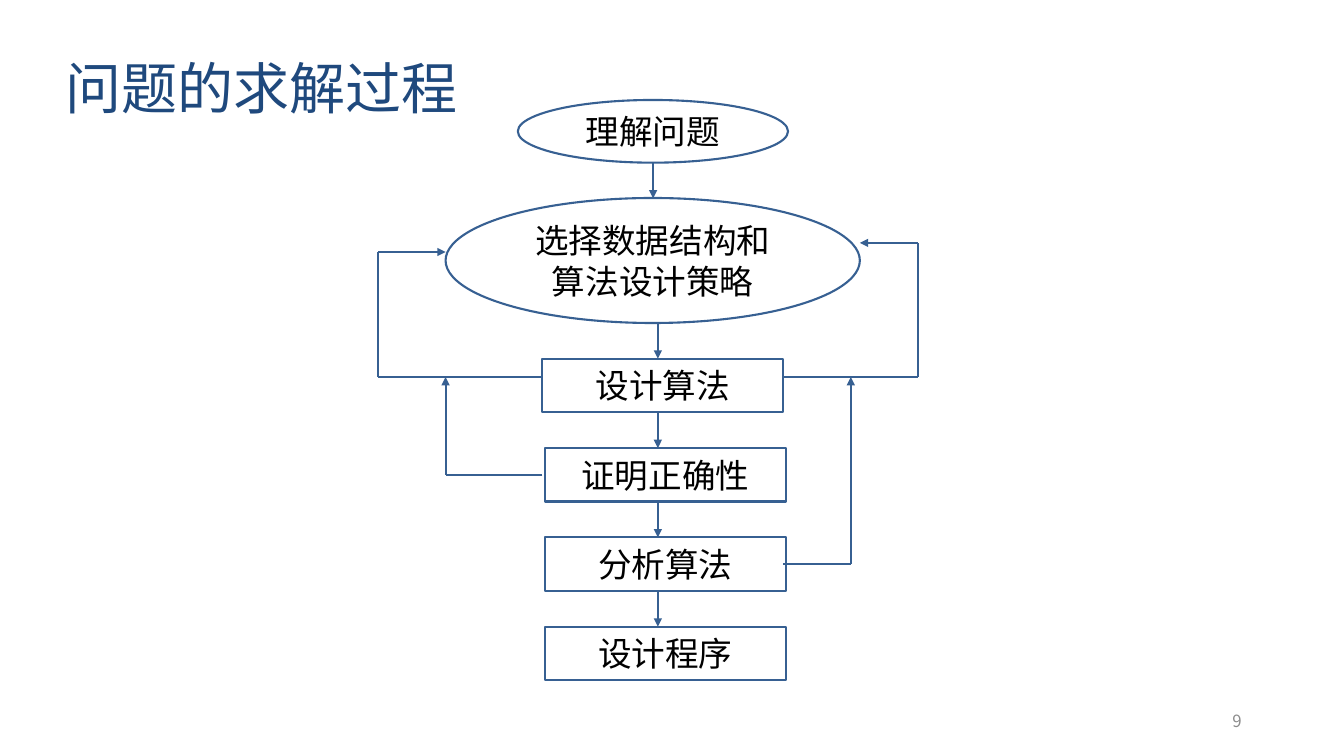
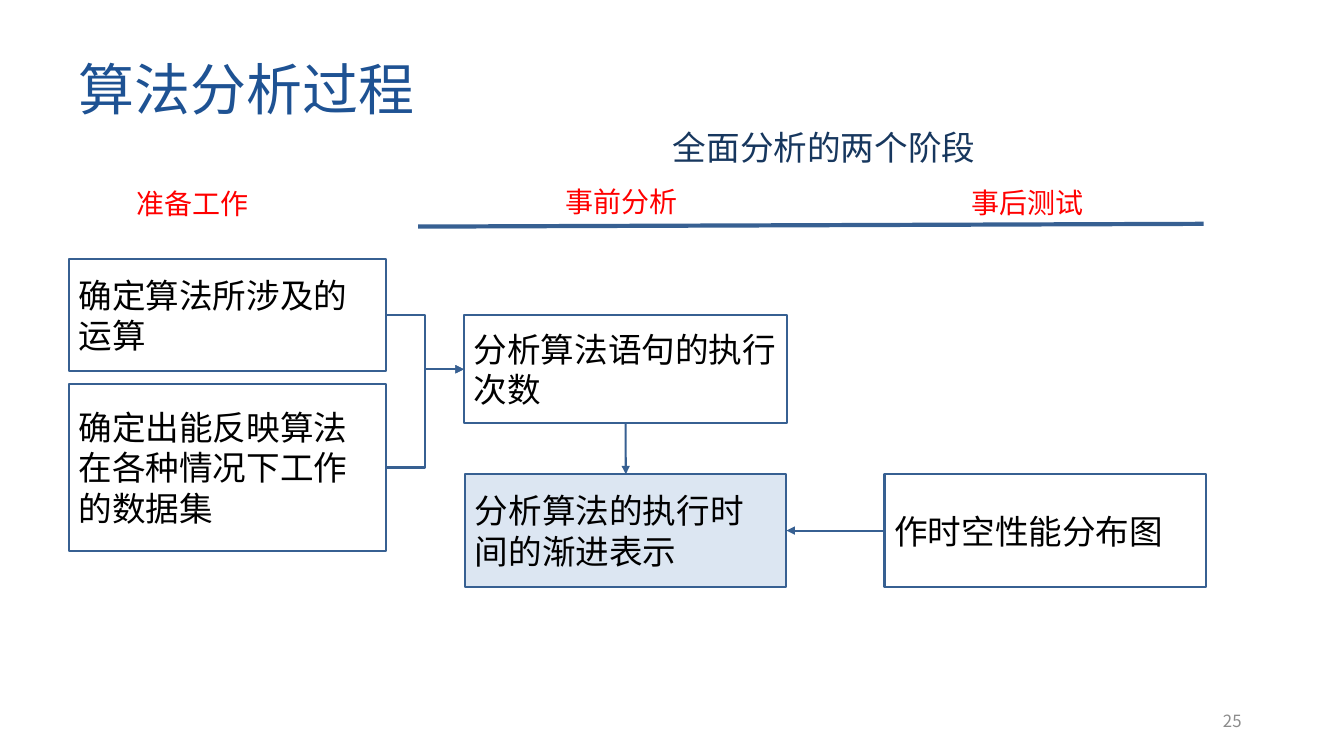
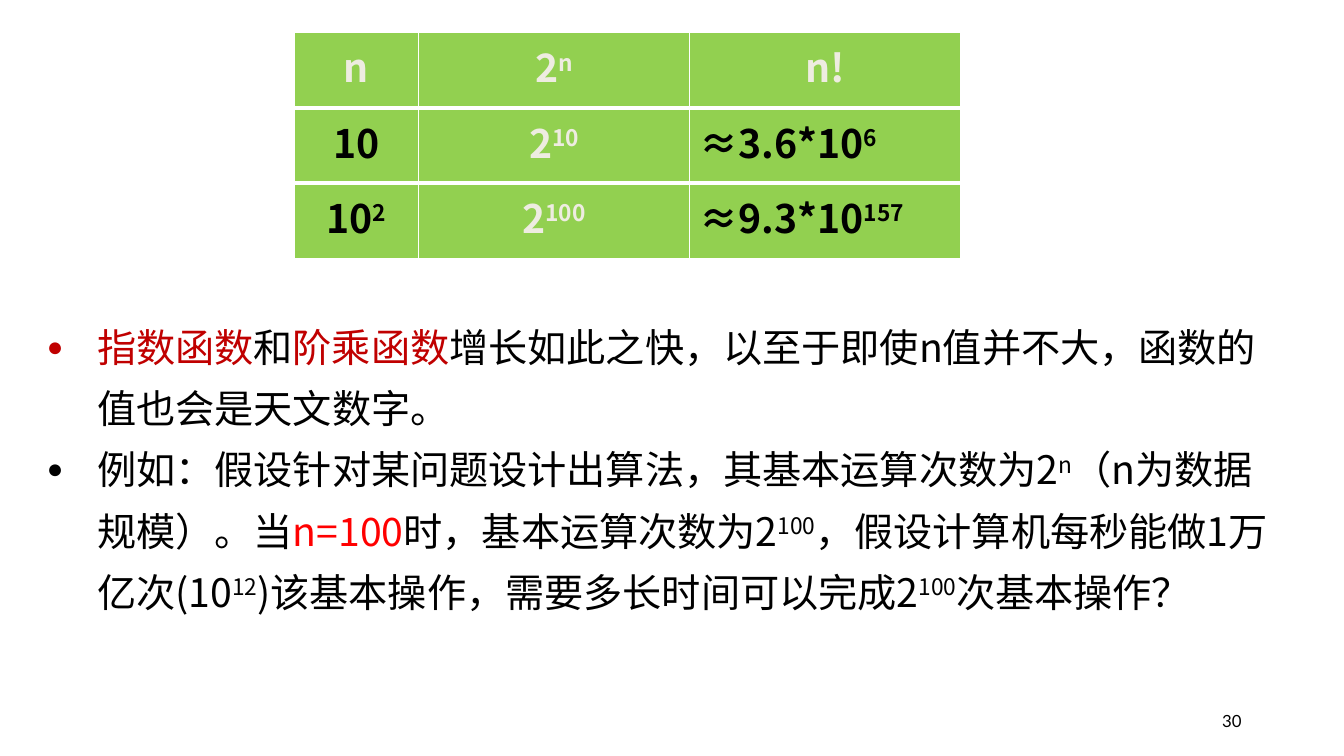
"""Build three slides on solving problems and analysing algorithms."""
from itertools import pairwise

from lxml.etree import SubElement
from pptx import Presentation
from pptx.dml.color import RGBColor
from pptx.enum.shapes import MSO_CONNECTOR, MSO_SHAPE
from pptx.enum.text import MSO_ANCHOR, PP_ALIGN
from pptx.oxml.ns import qn
from pptx.util import Cm, Pt

BLACK = RGBColor(0x00, 0x00, 0x00)
WHITE = RGBColor(0xFF, 0xFF, 0xFF)
GRAY = RGBColor(0x8C, 0x8C, 0x8C)
NAVY = RGBColor(0x1F, 0x49, 0x7D)
BLUE = RGBColor(0x1E, 0x52, 0x93)
DEEP = RGBColor(0x17, 0x37, 0x5E)
EDGE = RGBColor(0x37, 0x60, 0x92)
PALE = RGBColor(0xDC, 0xE6, 0xF2)
RED = RGBColor(0xFF, 0x00, 0x00)
DARK = RGBColor(0xC0, 0x00, 0x00)
GREEN = RGBColor(0x92, 0xD0, 0x50)
CREAM = RGBColor(0xEE, 0xEC, 0xE1)
SANS = "Noto Sans CJK SC"
LEFT, MID, RIGHT = PP_ALIGN.LEFT, PP_ALIGN.CENTER, PP_ALIGN.RIGHT
OVAL, RECT = MSO_SHAPE.OVAL, MSO_SHAPE.RECTANGLE
LINE, BENT = MSO_CONNECTOR.STRAIGHT, MSO_CONNECTOR.ELBOW


def write(frame, rows, size, align=LEFT, face=SANS, bold=False):
    """Fill a frame with paragraphs of (text, colour, raised) runs."""
    for num, row in enumerate(rows):
        para = frame.add_paragraph() if num else frame.paragraphs[0]
        para.alignment = align
        for text, color, *up in row:
            run = para.add_run()
            run.text = text
            font = run.font
            font.name, font.size, font.bold = face, Pt(size), bold
            font.color.rgb = color
            prop = run._r.get_or_add_rPr()
            SubElement(prop, qn("a:ea")).set("typeface", SANS)
            if up:
                prop.set("baseline", "30000")


def link(slide, start, end, head=True, kind=LINE, width=1.5):
    """Draw a line between two points, with an arrowhead if asked."""
    line = slide.shapes.add_connector(kind, *map(Cm, start + end))
    line.line.color.rgb = EDGE
    line.line.width = Pt(width)
    if head:
        SubElement(line.line._get_or_add_ln(), qn("a:tailEnd")).set("type", "triangle")
    SubElement(line._element.spPr, qn("a:effectLst"))
    return line


deck = Presentation()
deck.slide_width, deck.slide_height = Cm(33.87), Cm(19.05)

pages = [
    ("9", GRAY, SANS, "问题的求解过程", NAVY, 1.4, 0.39),
    ("25", GRAY, SANS, "算法分析过程", BLUE, 1.73, 0.42),
    ("30", BLACK, "Lato", None, None, None, None),
]
for page, tint, face, title, color, x, y in pages:
    slide = deck.slides.add_slide(deck.slide_layouts[6])
    band = slide.shapes.add_shape(RECT, 0, Cm(14.94), Cm(33.87), Cm(4.11))
    band.shadow.inherit = False
    band.line.fill.background()
    band.fill.solid()
    band.fill.fore_color.rgb = WHITE
    shade = band._element.spPr.find(qn("a:solidFill"))[0]
    SubElement(shade, qn("a:alpha")).set("val", "29000")
    frame = slide.shapes.add_textbox(Cm(23.92), Cm(17.65), Cm(7.62), Cm(1.02)).text_frame
    frame.word_wrap, frame.vertical_anchor = True, MSO_ANCHOR.MIDDLE
    write(frame, [[(page, tint)]], 12, RIGHT, face)
    if title:
        frame = slide.shapes.add_textbox(Cm(x), Cm(y), Cm(22.86), Cm(3.81)).text_frame
        frame.word_wrap, frame.vertical_anchor = True, MSO_ANCHOR.MIDDLE
        write(frame, [[(title, color)]], 40, face="Arial")
        frame.paragraphs[0].line_spacing = 0.9
flow, study, growth = deck.slides

top, step, tall = 9.04, 2.25, 1.35
boxes = [
    (flow, OVAL, 13.05, 2.52, 6.81, 1.58, WHITE, ["理解问题"]),
    (flow, OVAL, 11.23, 4.99, 10.44, 3.15, WHITE, ["选择数据结构和", "算法设计策略"]),
    (study, RECT, 1.73, 6.53, 8, 2.81, WHITE, ["确定算法所涉及的运算"]),
    (study, RECT, 1.73, 9.68, 8, 4.2, WHITE, ["确定出能反映算法在各种情况下工作的数据集"]),
    (study, RECT, 11.69, 7.94, 8.15, 2.73, WHITE, ["分析算法语句的执行次数"]),
    (study, RECT, 11.72, 11.95, 8.1, 2.84, PALE, ["分析算法的执行时间的渐进表示"]),
    (study, RECT, 22.29, 11.95, 8.1, 2.84, WHITE, ["作时空性能分布图"]),
]
for num, name in enumerate(["设计算法", "证明正确性", "分析算法", "设计程序"]):
    left = 13.73 if num else 13.67
    boxes.append((flow, RECT, left, top + num * step, 6.07, tall, WHITE, [name]))

cards = []
for slide, kind, x, y, w, h, fill, lines in boxes:
    shape = slide.shapes.add_shape(kind, Cm(x), Cm(y), Cm(w), Cm(h))
    shape.shadow.inherit = False
    shape.fill.solid()
    shape.fill.fore_color.rgb = fill
    shape.line.color.rgb = EDGE
    shape.line.width = Pt(1.5)
    shape.text_frame.word_wrap = slide is study
    align = LEFT if slide is study else MID
    write(shape.text_frame, [[(text, BLACK)] for text in lines], 24, align)
    if slide is study:
        cards.append(shape)

routes = [
    [(16.46, 4.09), (16.46, 5)],
    [(16.58, 8.15), (16.58, top)],
    [(13.67, 9.5), (9.53, 9.5), (9.53, 6.35), (11.23, 6.35)],
    [(19.74, 9.5), (23.14, 9.5), (23.14, 6.12), (21.67, 6.12)],
    [(13.67, 11.96), (11.23, 11.96), (11.23, 9.5)],
    [(19.74, 14.21), (21.44, 14.21), (21.44, 9.5)],
]
for num in range(3):
    low = top + num * step + tall
    routes.append([(16.58, low), (16.58, low + step - tall)])
for route in routes:
    for start, end in pairwise(route):
        link(flow, start, end, end == route[-1])

labels = [("准备工作", 3.2, 4.57), ("事前分析", 14, 4.52), ("事后测试", 24.23, 4.55)]
for text, x, y in labels:
    frame = study.shapes.add_textbox(Cm(x), Cm(y), Cm(3.38), Cm(1.12)).text_frame
    write(frame, [[(text, RED)]], 20)
frame = study.shapes.add_textbox(Cm(16.71), Cm(3.07), Cm(9.2), Cm(1.27)).text_frame
frame.word_wrap = True
write(frame, [[("全面分析的两个阶段", DEEP)]], 24)
link(study, (10.54, 5.71), (30.33, 5.64), False, width=3)

ops, data, count, time, plot = cards
joins = [
    (BENT, ops, 3, count, 1),
    (BENT, data, 3, count, 1),
    (LINE, count, 2, time, 0),
    (LINE, plot, 1, time, 3),
]
for kind, first, out, last, into in joins:
    line = link(study, (0, 0), (1, 1), kind=kind)
    line.begin_connect(first, out)
    line.end_connect(last, into)

grid = [
    [[("n", CREAM)], [("2", CREAM), ("n", CREAM, True)], [("n!", CREAM)]],
    [
        [("10", BLACK)],
        [("2", CREAM), ("10", CREAM, True)],
        [("≈3.6*10", BLACK), ("6", BLACK, True)],
    ],
    [
        [("10", BLACK), ("2", BLACK, True)],
        [("2", CREAM), ("100", CREAM, True)],
        [("≈9.3*10", BLACK), ("157", BLACK, True)],
    ],
]
table = growth.shapes.add_table(3, 3, Cm(7.43), Cm(0.82), Cm(16.79), Cm(5.7)).table
for col, width in zip(table.columns, [3.11, 6.84, 6.84]):
    col.width = Cm(width)
for r, row in enumerate(grid):
    for c, runs in enumerate(row):
        cell = table.cell(r, c)
        if r < 2:
            side = SubElement(cell._tc.get_or_add_tcPr(), qn("a:lnT" if r else "a:lnB"))
            side.set("w", str(Pt(3)))
            SubElement(SubElement(side, qn("a:solidFill")), qn("a:srgbClr")).set("val", str(WHITE))
        cell.fill.solid()
        cell.fill.fore_color.rgb = GREEN
        align = LEFT if r and c == 2 else MID
        write(cell.text_frame, [runs], 28, align, bold=True)

notes = [
    [
        ("指数函数", DARK),
        ("和", BLACK),
        ("阶乘函数", DARK),
        ("增长如此之快，以至于即使n值并不大，函数的值也会是天文数字。", BLACK),
    ],
    [
        ("例如：假设针对某问题设计出算法，其基本运算次数为2", BLACK),
        ("n", BLACK, True),
        ("（n为数据规模）。当", BLACK),
        ("n=100", RED),
        ("时，基本运算次数为2", BLACK),
        ("100", BLACK, True),
        ("，假设计算机每秒能做1万亿次(10", BLACK),
        ("12", BLACK, True),
        (")该基本操作，需要多长时间可以完成2", BLACK),
        ("100", BLACK, True),
        ("次基本操作？", BLACK),
    ],
]
frame = growth.shapes.add_textbox(Cm(0.93), Cm(7.67), Cm(31.6), Cm(11)).text_frame
frame.word_wrap = True
write(frame, notes, 28)
for para in frame.paragraphs:
    para.line_spacing = 1.3
    prop = para._p.get_or_add_pPr()
    prop.set("marL", str(Cm(1.27)))
    prop.set("indent", str(-Cm(1.27)))
    SubElement(prop, qn("a:buSzPct")).set("val", "70000")
    SubElement(prop, qn("a:buFont")).set("typeface", "Arial")
    SubElement(prop, qn("a:buChar")).set("char", "●")

deck.save("out.pptx")
